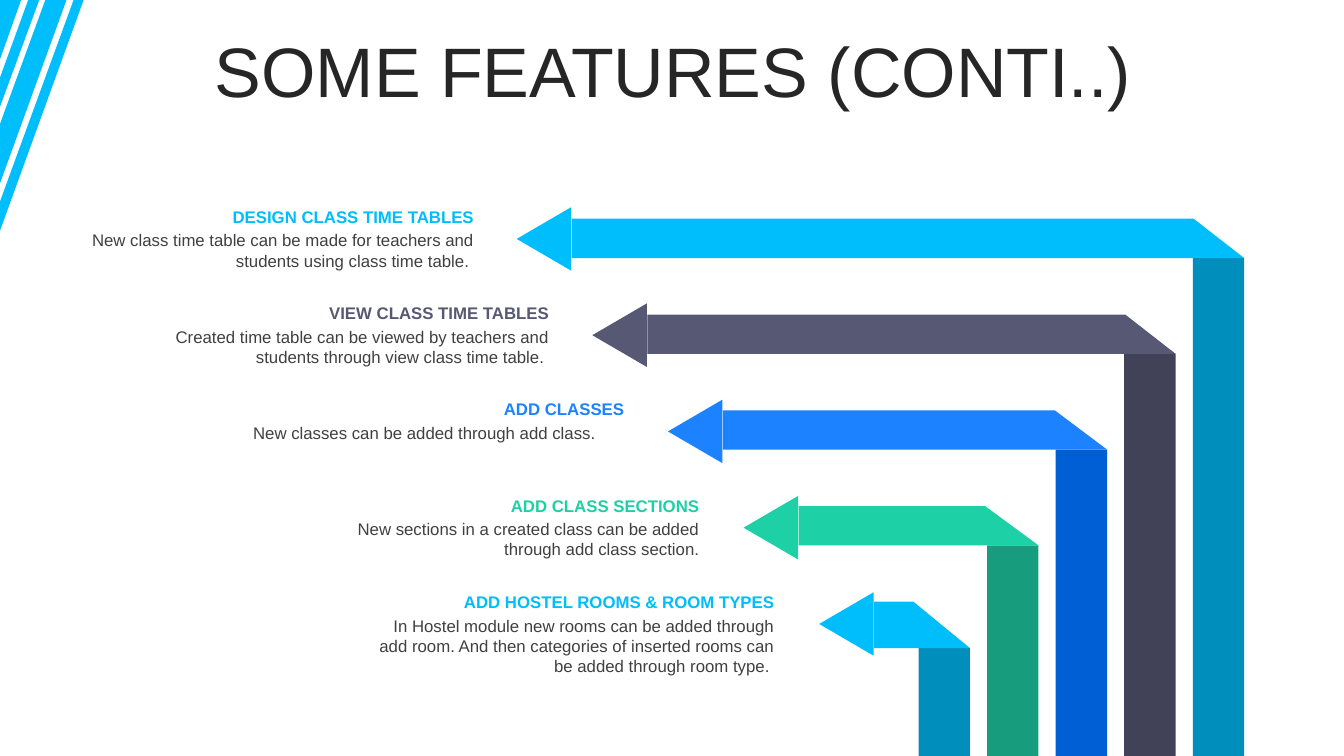
import pptx
import pptx.util
import pptx.dml.color
import pptx.enum.shapes
import pptx.enum.text

# Content: heading, description, extra right inset, arrow colour, post colour, fold width
HEADLINE = "SOME FEATURES (CONTI..)"
FEATURES = [
    ("DESIGN CLASS TIME TABLES",
     "New class time table can be made for teachers and students using class time table. ",
     0, "00BDFB", "008EBC", 0.5),
    ("VIEW CLASS TIME TABLES",
     "Created time table can be viewed by teachers and students through view class time table. ",
     0, "565874", "414257", 0.5),
    ("ADD CLASSES", "New classes can be added through add class.",
     0.28, "1C82FF", "005FD4", 0.52),
    ("ADD CLASS SECTIONS",
     "New sections in a created class can be added through add class section.",
     0, "1ED0A6", "179C7D", 0.53),
    ("ADD HOSTEL ROOMS & ROOM TYPES",
     "In Hostel module new rooms can be added through add room. "
     "And then categories of inserted rooms can be added through room type. ",
     0, "00BDFB", "008EBC", 0.56),
]
DESCRIPTION_HEIGHTS = [0.5, 0.5, 0.3, 0.5, 0.71]
STRIPES = [
    [(0.73, 0), (0.83, 0), (0, 2.29), (0, 2)],
    [(0.39, 0), (0, 1.06), (0, 0.77), (0.28, 0)],
    [(0.66, 0), (0, 1.82), (0, 1.23), (0.45, 0)],
    [(0, 0), (0.21, 0), (0, 0.59)],
]

# Grid: each feature steps down and right, each post steps left
WIDTH, HEIGHT = 13.33, 7.5
TEXT_STEP, ROW_STEP, ARROW_STEP, POST_STEP = 0.745, 0.955, 0.75, 0.68
BAND_STEP = 0.95
POST_WIDTH, HEAD_SPAN, HEAD_DEPTH = 0.51, 0.63, 0.54

Inches = pptx.util.Inches
SHAPES = pptx.enum.shapes.MSO_SHAPE
ALIGN = pptx.enum.text.PP_ALIGN


def colour(value):
    return pptx.dml.color.RGBColor.from_string(value)


def paint(shape, value):
    shape.shadow.inherit = False
    shape.fill.solid()
    shape.fill.fore_color.rgb = colour(value)
    shape.line.fill.background()
    return shape


def outline(shapes, contours, value):
    # Freeform vertices are whole numbers, so lengths go in as EMU
    contours = [[(Inches(x), Inches(y)) for x, y in points] for points in contours]
    builder = shapes.build_freeform(*contours[0][0])
    for number, points in enumerate(contours):
        if number:
            builder.move_to(*points[0])
        builder.add_line_segments(points[1:], close=True)
    return paint(builder.convert_to_shape(), value)


def block(shapes, kind, left, top, width, height, value):
    box = map(Inches, (left, top, width, height))
    return paint(shapes.add_shape(kind, *box), value)


def style(paragraph, size, value, align, bold=False):
    paragraph.alignment = align
    paragraph.font.name = "Arial"
    paragraph.font.size = pptx.util.Pt(size)
    paragraph.font.bold = bold
    paragraph.font.color.rgb = colour(value)


def label(shapes, text, left, top, height, value, bold=False, inset=0):
    box = shapes.add_textbox(*map(Inches, (left, top, 4.15, height)))
    frame = box.text_frame
    frame.word_wrap = True
    frame.auto_size = pptx.enum.text.MSO_AUTO_SIZE.SHAPE_TO_FIT_TEXT
    frame.margin_right = Inches(0.1 + inset)
    frame.text = text
    style(frame.paragraphs[0], 12, value, ALIGN.RIGHT, bold)


def main():
    deck = pptx.Presentation()
    deck.slide_width, deck.slide_height = Inches(WIDTH), Inches(HEIGHT)
    slide = deck.slides.add_slide(deck.slide_layouts[5])
    shapes = slide.shapes

    # Corner stripes
    outline(shapes, STRIPES, "00BDFB")

    # Headline
    headline = shapes.title
    headline.left, headline.top, headline.width, headline.height = map(
        Inches, (0.35, 0.37, 12.66, 0.79))
    frame = headline.text_frame
    frame.text = HEADLINE
    frame.word_wrap = True
    frame.auto_size = pptx.enum.text.MSO_AUTO_SIZE.NONE
    frame.vertical_anchor = pptx.enum.text.MSO_ANCHOR.MIDDLE
    frame.paragraphs[0].line_spacing = 0.8
    style(frame.paragraphs[0], 50, "262626", ALIGN.CENTER)

    for row, (heading, description, inset, bright, dark, fold) in enumerate(FEATURES):
        # Folded arrow: post, band and head; the last band is taller
        right = 12.34 - row * POST_STEP
        band_top = 2.17 + row * BAND_STEP
        band_bottom = band_top + (0.46 if row == len(FEATURES) - 1 else 0.39)
        band_left = 5.67 + row * ARROW_STEP
        block(shapes, SHAPES.RECTANGLE, right - POST_WIDTH, band_bottom,
              POST_WIDTH, HEIGHT - band_bottom, dark)
        outline(shapes, [[(band_left, band_top), (right - fold, band_top),
                          (right, band_bottom), (band_left, band_bottom)]], bright)
        head = block(shapes, SHAPES.ISOSCELES_TRIANGLE, 5.08 + row * ARROW_STEP,
                     2.1 + row * ROW_STEP, HEAD_SPAN, HEAD_DEPTH, bright)
        head.rotation = 270

        # Heading and description
        left, top = 0.65 + row * TEXT_STEP, 2 + row * ROW_STEP
        texts = shapes.add_group_shape().shapes
        label(texts, description, left, top + 0.235,
              DESCRIPTION_HEIGHTS[row], "404040", inset=inset)
        label(texts, heading, left, top, 0.3, bright, bold=True)

    deck.save("out.pptx")


if __name__ == "__main__":
    main()
